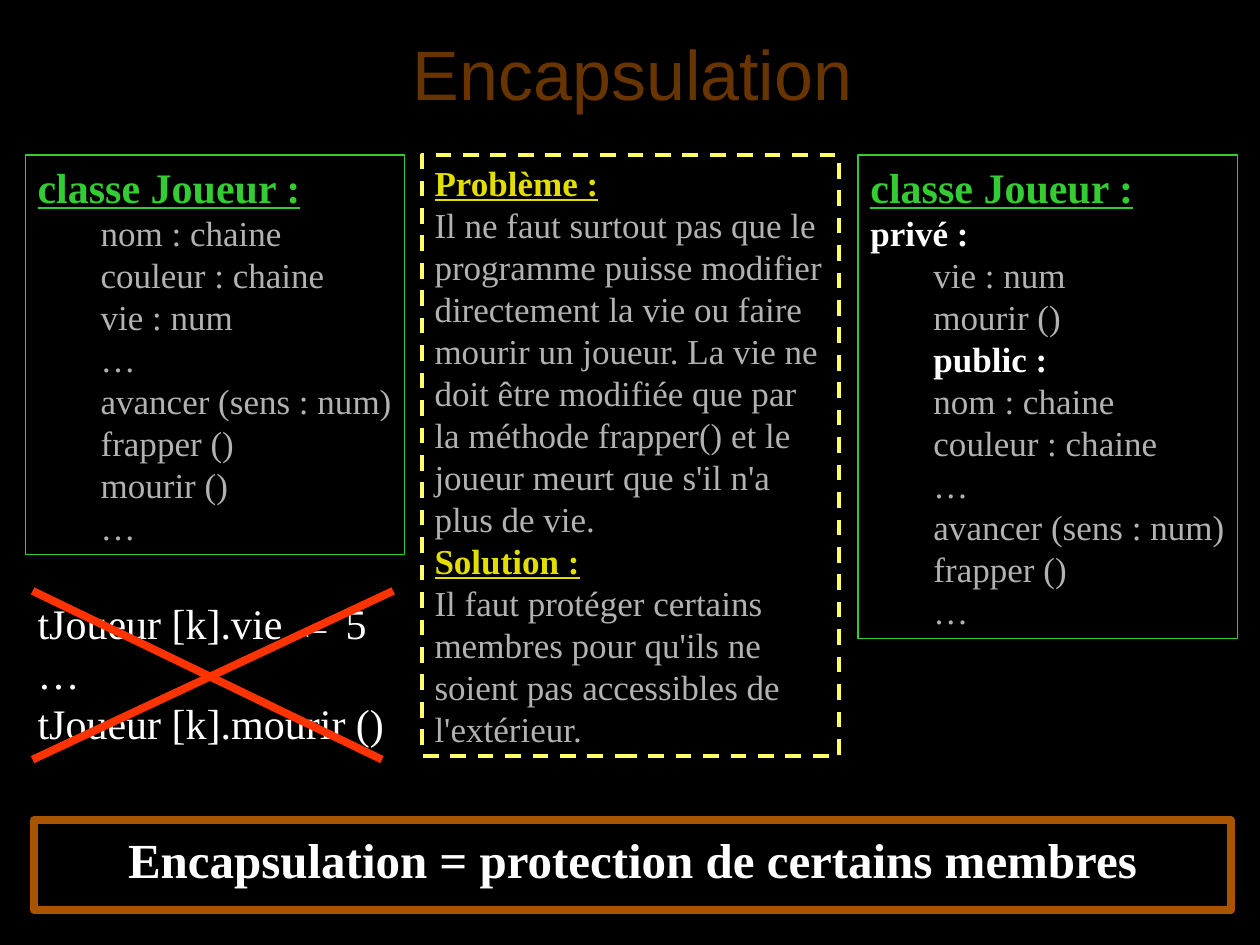
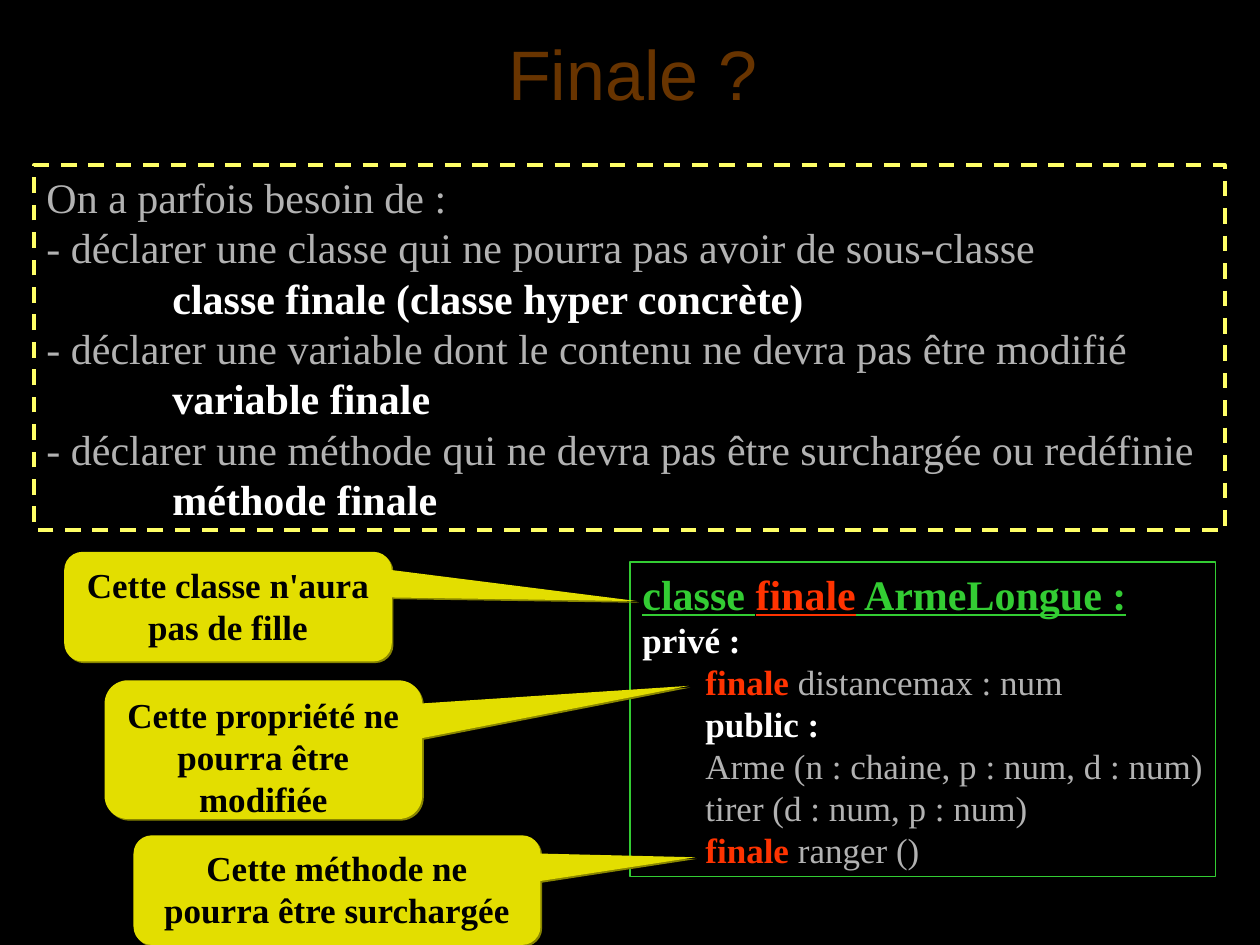
from dataclasses import dataclass

from lxml.etree import SubElement
from pptx import Presentation
from pptx.dml.color import RGBColor
from pptx.enum.dml import MSO_LINE
from pptx.enum.shapes import MSO_CONNECTOR, MSO_SHAPE
from pptx.enum.text import MSO_ANCHOR, MSO_AUTO_SIZE, PP_ALIGN
from pptx.oxml.ns import qn
from pptx.util import Inches, Pt

# The slide is a grid of 100 columns by 75 rows
WIDTH, HEIGHT = Inches(10), Inches(7.5)
COLUMN, ROW = WIDTH / 100, HEIGHT / 75

COLORS = {
    "background": "000000",
    "title": "683400",
    "title_shadow": "341A00",
    "banner": "A85400",
    "dashed": "FFFF66",
    "yellow": "E3DE00",
    "yellow_shadow": "888500",
    "green": "33CC33",
    "red": "FF3300",
    "gray": "B2B2B2",
    "white": "FFFFFF",
    "black": "000000",
}
SERIF, SANS = "Times New Roman", "Arial"

TITLE_BOX = (2.7, 1.3, 95, 8.9)


@dataclass
class Style:
    color: str = "gray"
    size: int = 20
    bold: bool = False
    underline: bool = False
    font: str = SERIF
    shadow: str = ""


BODY = Style()
LARGE = Style(size=24)
KEYWORD = Style("white", bold=True)
ANSWER = Style("white", size=24, bold=True)
FINAL = Style("red", bold=True)
SUBHEAD = Style("yellow", bold=True, underline=True)
CLASS_NAME = Style("green", 24, True, True)
FINAL_NAME = Style("red", 24, True, True)
CODE = Style("white", 24)
ARROW = Style("white", 24, font=SANS)
TITLE = Style("title", 40, font=SANS, shadow="title_shadow")
BANNER = Style("white", 28, True)
CALLOUT = Style("black", bold=True)


@dataclass
class Line:
    runs: list
    indent: float = 0
    level: int = 0


def line(text, style=BODY, **layout):
    return Line([(text, style)], **layout)


def member(*runs):
    """One indented line of a class description."""
    return Line([run if isinstance(run, tuple) else (run, BODY) for run in runs],
                indent=0.5, level=1)


def color(name):
    return RGBColor.from_string(COLORS[name])


def place(box):
    left, top, width, height = box
    return (round(left * COLUMN), round(top * ROW),
            round(width * COLUMN), round(height * ROW))


def add_shadow(effects, name):
    shadow = SubElement(effects, qn("a:outerShdw"), dist=str(Pt(1.4)),
                        dir="2700000", algn="ctr", rotWithShape="0")
    SubElement(shadow, qn("a:srgbClr"), val=COLORS[name])


def write(shape, lines, align=PP_ALIGN.LEFT, anchor=MSO_ANCHOR.TOP,
          wrap=True, grow=False, inset_top=0.05):
    """Fill a shape with formatted lines."""
    frame = shape.text_frame
    frame.word_wrap = wrap
    frame.auto_size = MSO_AUTO_SIZE.SHAPE_TO_FIT_TEXT if grow else MSO_AUTO_SIZE.NONE
    frame.vertical_anchor = anchor
    frame.margin_top = Inches(inset_top)
    for index, content in enumerate(lines):
        paragraph = frame.add_paragraph() if index else frame.paragraphs[0]
        paragraph.alignment = align
        paragraph.level = content.level
        properties = paragraph._p.get_or_add_pPr()
        properties.set("marL", str(Inches(content.indent)))
        properties.set("indent", "0")
        for text, style in content.runs:
            run = paragraph.add_run()
            run.text = text
            font = run.font
            font.name, font.size = style.font, Pt(style.size)
            font.bold, font.underline = style.bold, style.underline
            font.color.rgb = color(style.color)
            if style.shadow:
                run_properties = run._r.get_or_add_rPr()
                effects = SubElement(run_properties, qn("a:effectLst"))
                run_properties.find(qn("a:solidFill")).addnext(effects)
                add_shadow(effects, style.shadow)


def add_frame(slide, box, border, width, dashed=False):
    """Unfilled rectangle with a coloured border."""
    shape = slide.shapes.add_shape(MSO_SHAPE.RECTANGLE, *place(box))
    shape.shadow.inherit = False
    shape.fill.background()
    shape.line.color.rgb = color(border)
    shape.line.width = Pt(width)
    if dashed:
        shape.line.dash_style = MSO_LINE.DASH
    return shape


def add_slide(presentation, title):
    slide = presentation.slides.add_slide(presentation.slide_layouts[6])
    slide.background.fill.solid()
    slide.background.fill.fore_color.rgb = color("background")
    write(slide.shapes.add_textbox(*place(TITLE_BOX)), [line(title, TITLE)],
          align=PP_ALIGN.CENTER, anchor=MSO_ANCHOR.MIDDLE)
    return slide


def add_explanation(slide, box, lines):
    write(add_frame(slide, box, "dashed", 2.25, dashed=True), lines, grow=True)


def add_class(slide, box, lines):
    write(add_frame(slide, box, "green", 0.75), lines, wrap=False, grow=True)


def add_banner(slide, box, text):
    write(add_frame(slide, box, "banner", 4.5), [line(text, BANNER)],
          align=PP_ALIGN.CENTER, inset_top=0.07)


def add_forbidden_code(slide, box, lines):
    """Code crossed out by two red strokes."""
    write(slide.shapes.add_textbox(*place(box)), lines, wrap=False, grow=True)
    left, top, width, height = place(box)
    start, bottom = left + 0.02 * width, top + 1.03 * height
    strokes = [(top, 0.96, bottom), (bottom, 0.99, top)]
    for start_y, end_share, end_y in strokes:
        points = (start, start_y, left + end_share * width, end_y)
        stroke = slide.shapes.add_connector(MSO_CONNECTOR.STRAIGHT, *map(round, points))
        stroke.line.color.rgb = color("red")
        stroke.line.width = Pt(4.5)
        SubElement(stroke._element.spPr, qn("a:effectLst"))


def add_callout(slide, box, text, tip):
    """Yellow bubble; tip is a share of its size, from its centre."""
    shape = slide.shapes.add_shape(MSO_SHAPE.ROUNDED_RECTANGULAR_CALLOUT, *place(box))
    for index, value in enumerate((*tip, 0.167)):
        shape.adjustments[index] = value
    shape.fill.solid()
    shape.fill.fore_color.rgb = color("yellow")
    shape.line.fill.background()
    shape.shadow.inherit = False
    add_shadow(shape._element.spPr.find(qn("a:effectLst")), "yellow_shadow")
    write(shape, [line(text, CALLOUT)], align=PP_ALIGN.CENTER)


def build_encapsulation(presentation):
    slide = add_slide(presentation, "Encapsulation")
    top = 12.3

    # Problem and solution
    add_explanation(slide, (33.5, top, 33.1, 47.7), [
        line("Problème :", SUBHEAD),
        line("Il ne faut surtout pas que le programme puisse modifier directement "
             "la vie ou faire mourir un joueur. La vie ne doit être modifiée que par "
             "la méthode frapper() et le joueur meurt que s'il n'a plus de vie."),
        line("Solution :", SUBHEAD),
        line("Il faut protéger certains membres pour qu'ils ne soient pas "
             "accessibles de l'extérieur."),
    ])
    add_banner(slide, (2.7, 65.1, 95, 7.1),
               "Encapsulation = protection de certains membres")

    # Class before and after protection
    heading = line("classe Joueur :", CLASS_NAME)
    before = ["nom : chaine", "couleur : chaine", "vie : num", "…",
              "avancer (sens : num)", "frapper ()", "mourir ()", "…"]
    private = ["vie : num", "mourir ()"]
    public = [text for text in before if text not in private]
    add_class(slide, (2, top, 30.1, 31.7), [heading, *map(member, before)])
    add_class(slide, (68.1, top, 30.1, 38.4), [
        heading, line("privé :", KEYWORD), *map(member, private),
        member(("public :", KEYWORD)), *map(member, public),
    ])

    # Forbidden direct access
    add_forbidden_code(slide, (2, 46.9, 29.5, 13), [
        Line([("tJoueur [k].vie ", CODE), ("←", ARROW), (" 5", CODE)]),
        line("…", CODE),
        line("tJoueur [k].mourir ()", CODE),
    ])


def build_final(presentation):
    slide = add_slide(presentation, "Finale ?")

    # Needs, each followed by its indented answer
    needs = [
        ("- déclarer une classe qui ne pourra pas avoir de sous-classe",
         "classe finale (classe hyper concrète)"),
        ("- déclarer une variable dont le contenu ne devra pas être modifié",
         "variable finale"),
        ("- déclarer une méthode qui ne devra pas être surchargée ou redéfinie",
         "méthode finale"),
    ]
    lines = [line("On a parfois besoin de :", LARGE)]
    for need, answer in needs:
        lines += [line(need, LARGE), line(answer, ANSWER, indent=1)]
    add_explanation(slide, (2.7, 13.1, 94.5, 29), lines)

    # Example class
    final = ("finale", FINAL)
    add_class(slide, (50, 44.6, 46.5, 25), [
        Line([("classe ", CLASS_NAME), ("finale", FINAL_NAME),
              (" ArmeLongue :", CLASS_NAME)]),
        line("privé :", KEYWORD),
        member(final, " distancemax : num"),
        member(("public :", KEYWORD)),
        member("Arme (n : chaine, p : num, d : num)"),
        member("tirer (d : num, p : num)"),
        member(final, " ranger ()"),
    ])

    # Remarks pointing at the class
    callouts = [
        ((5.1, 43.8, 26, 8.7), "Cette classe n'aura pas de fille", (1.25, -0.05)),
        ((8.3, 54, 25.2, 11), "Cette propriété ne pourra être modifiée", (1.34, -0.46)),
        ((10.6, 66.3, 32.3, 8.7), "Cette méthode ne pourra être surchargée", (0.88, -0.3)),
    ]
    for box, text, tip in callouts:
        add_callout(slide, box, text, tip)


def main():
    presentation = Presentation()
    presentation.slide_width, presentation.slide_height = WIDTH, HEIGHT
    build_encapsulation(presentation)
    build_final(presentation)
    presentation.save("out.pptx")


if __name__ == "__main__":
    main()
